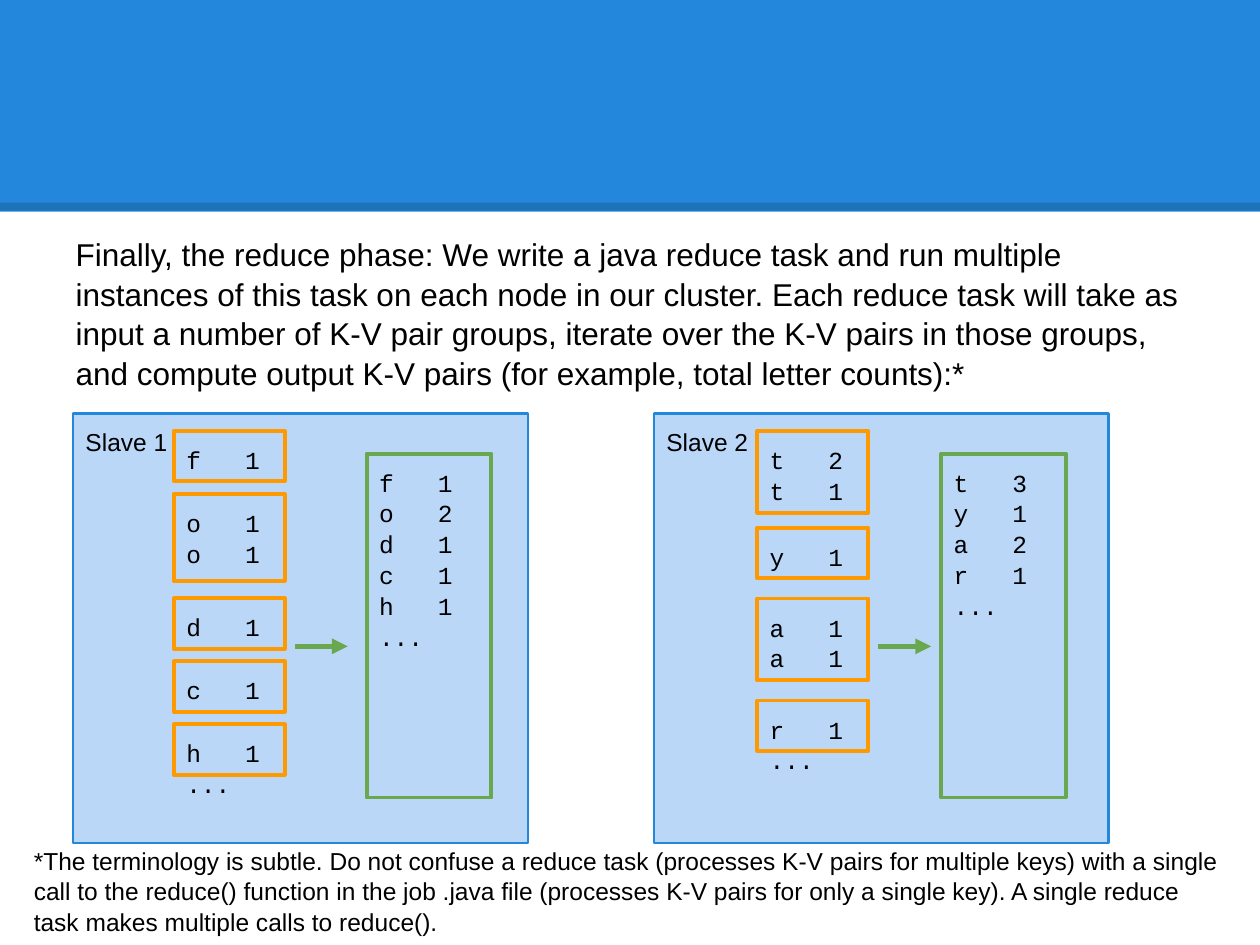
from pptx import Presentation
from pptx.dml.color import RGBColor
from pptx.enum.shapes import MSO_CONNECTOR, MSO_SHAPE
from pptx.enum.text import MSO_ANCHOR, PP_ALIGN
from pptx.oxml.ns import qn
from pptx.util import Inches, Pt
from lxml.etree import SubElement

INTRO = ("Finally, the reduce phase: We write a java reduce task and run multiple instances "
         "of this task on each node in our cluster. Each reduce task will take as input a number "
         "of K-V pair groups, iterate over the K-V pairs in those groups, and compute output "
         "K-V pairs (for example, total letter counts):*")
FOOTNOTE = ("*The terminology is subtle. Do not confuse a reduce task (processes K-V pairs for "
            "multiple keys) with a single call to the reduce() function in the job .java file "
            "(processes K-V pairs for only a single key). A single reduce task makes multiple "
            "calls to reduce().")
NODES = [
    {"name": "Slave 1", "left": 0.58, "groups_left": 1.38, "output_left": 2.91,
     "groups": [(3.42, 0.4, ["f   1"]), (3.92, 0.69, ["o   1", "o   1"]),
                (4.75, 0.4, ["d   1"]), (5.25, 0.4, ["c   1"]),
                (5.75, 0.4, ["h   1", "..."])],
     "output": ["f   1", "o   2", "d   1", "c   1", "h   1", "..."]},
    {"name": "Slave 2", "left": 5.19, "groups_left": 6.01, "output_left": 7.47,
     "groups": [(3.42, 0.65, ["t   2", "t   1"]), (4.19, 0.4, ["y   1"]),
                (4.75, 0.65, ["a   1", "a   1"]), (5.56, 0.4, ["r   1", "..."])],
     "output": ["t   3", "y   1", "a   2", "r   1", "..."]},
]
BLUE, PALE, ORANGE, GREEN, BLACK = "2388DB", "BBD7F8", "FF9900", "6AA84F", "000000"
GROUP_W, ARROW_GAP, ARROW_W, ARROW_Y = 0.88, 0.08, 0.42, 5.13

prs = Presentation()
prs.slide_width, prs.slide_height = Inches(10), Inches(7.5)
s = prs.slides.add_slide(prs.slide_layouts[1])


def rgb(color):
    return RGBColor.from_string(color)


def set_text(sp, lines, size=14, font="Arial", before=0):
    tf = sp.text_frame
    tf.text = "\n".join(lines)
    tf.word_wrap = True
    tf.vertical_anchor = MSO_ANCHOR.TOP
    tf.margin_left = tf.margin_right = tf.margin_top = tf.margin_bottom = Inches(0.1)
    for p in tf.paragraphs:
        p.alignment = PP_ALIGN.LEFT
        p.line_spacing = 1.05
        p.space_before = Pt(before)
        for r in p.runs:
            r.font.size, r.font.name = Pt(size), font
            r.font.color.rgb = rgb(BLACK)


def add_box(left, top, width, height, fill=None, line=None, weight=2.25):
    sp = s.shapes.add_shape(MSO_SHAPE.RECTANGLE, *map(Inches, (left, top, width, height)))
    sp.shadow.inherit = False
    if fill:
        sp.fill.solid()
        sp.fill.fore_color.rgb = rgb(fill)
    else:
        sp.fill.background()
    if line:
        sp.line.color.rgb = rgb(line)
        sp.line.width = Pt(weight)
    else:
        sp.line.fill.background()
    return sp


def add_line(x1, x2, y, color, weight):
    cn = s.shapes.add_connector(MSO_CONNECTOR.STRAIGHT, *map(Inches, (x1, y, x2, y)))
    cn.line.color.rgb = rgb(color)
    cn.line.width = Pt(weight)
    SubElement(cn._element.spPr, qn("a:effectLst"))
    return cn.line._get_or_add_ln()


add_box(0, 0, 10, 1.68, BLUE)
ln = add_line(0, 10, 1.64, BLACK, 4.5)
SubElement(ln.find(".//" + qn("a:srgbClr")), qn("a:alpha"), val="15000")

title, body = s.placeholders
title._element.getparent().remove(title._element)
body.left, body.top, body.width, body.height = map(Inches, (0.5, 1.75, 9, 5.43))
set_text(body, [INTRO], 18, before=6)
pPr = body.text_frame.paragraphs[0]._p.get_or_add_pPr()
pPr.set("marL", "0")
pPr.set("indent", "0")
SubElement(pPr, qn("a:buNone"))

for node in NODES:
    set_text(add_box(node["left"], 3.28, 3.61, 3.41, PALE, BLUE, 1.5), [node["name"]])
    for top, height, pairs in node["groups"]:
        group = add_box(node["groups_left"], top, GROUP_W, height, line=ORANGE)
        set_text(group, pairs, font="Courier New")
    output = add_box(node["output_left"], 3.6, 0.99, 2.73, line=GREEN)
    set_text(output, node["output"], font="Courier New")
    start = node["groups_left"] + GROUP_W + ARROW_GAP
    ln = add_line(start, start + ARROW_W, ARROW_Y, GREEN, 3)
    SubElement(ln, qn("a:tailEnd"), type="triangle")

footnote = s.shapes.add_textbox(*map(Inches, (0.17, 6.6, 9.7, 0.81)))
set_text(footnote, [FOOTNOTE])
prs.save("out.pptx")
